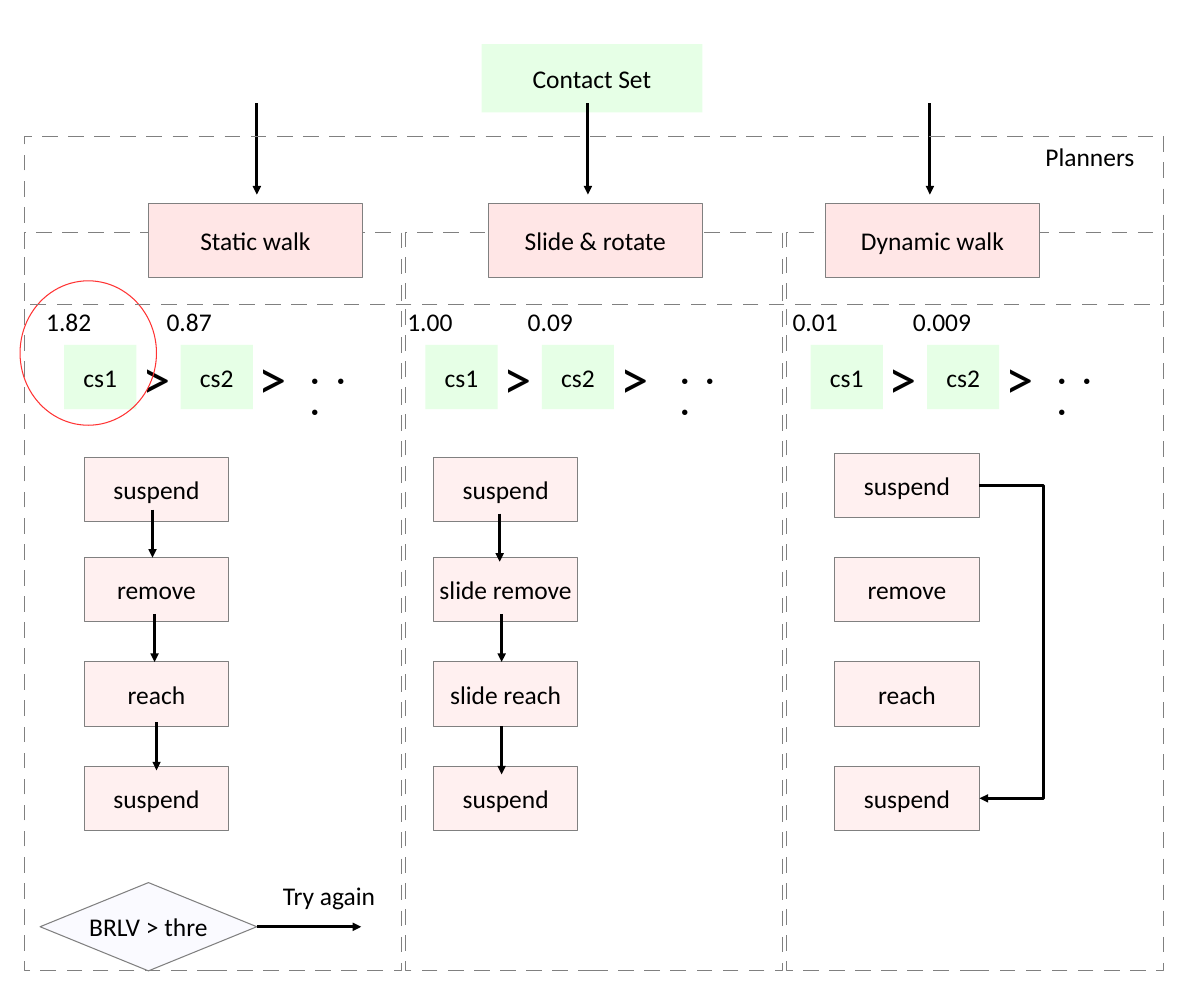
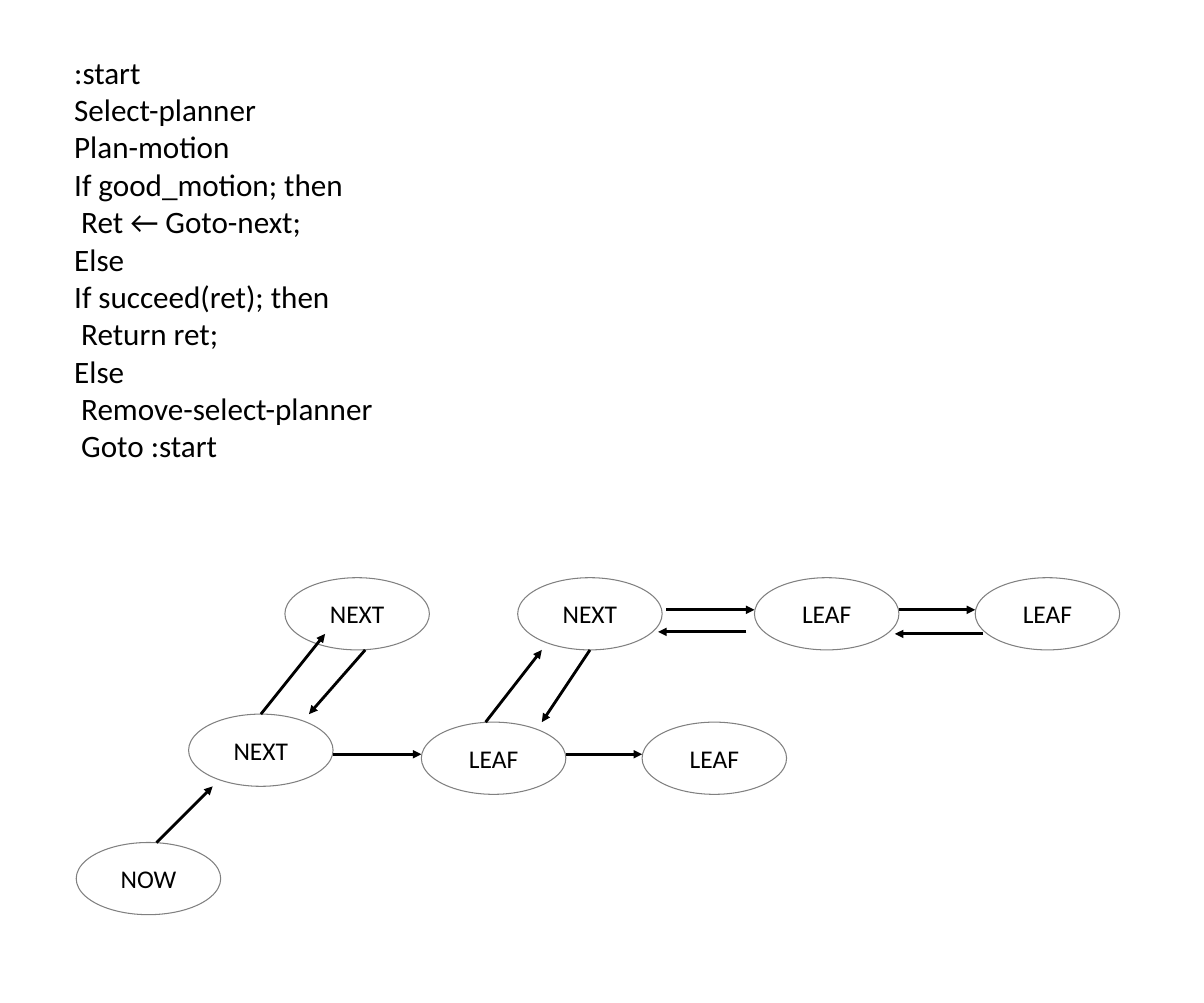
import dataclasses

import lxml.etree
import pptx
import pptx.dml.color
import pptx.enum.shapes
import pptx.enum.text
import pptx.oxml.ns
import pptx.util

Cm = pptx.util.Cm
Pt = pptx.util.Pt
RGBColor = pptx.dml.color.RGBColor
SHAPE = pptx.enum.shapes.MSO_SHAPE
CONNECTOR = pptx.enum.shapes.MSO_CONNECTOR

BLACK = RGBColor(0x00, 0x00, 0x00)
GRAY = RGBColor(0x80, 0x80, 0x80)
RED = RGBColor(0xFF, 0x33, 0x33)
WHITE = RGBColor(0xFF, 0xFF, 0xFF)
GREEN = RGBColor(0xE6, 0xFF, 0xE6)
PINK = RGBColor(0xFF, 0xE6, 0xE6)
PALE_PINK = RGBColor(0xFF, 0xF0, 0xF0)
PALE_BLUE = RGBColor(0xFA, 0xFA, 0xFF)
FONT = "Calibri"
BODY_SIZE = 18
CODE_SIZE = 22
SIGN_SIZE = 40

COLUMN_PITCH = 9.5
COLUMN_SIZE = (9.4, 18.4)
STEP_SIZE = (3.6, 1.6)
NODE_SIZE = (3.6, 1.8)


@dataclasses.dataclass
class Planner:
    """One planner column; offsets are from the column's left edge, in cm."""
    name: str
    name_offset: float
    arrow_offset: float
    scores: tuple
    sets_offset: float
    dots_offset: float
    steps: tuple
    steps_offset: float
    step_tops: tuple
    step_arrows: tuple


PLANNERS = (
    Planner("Static walk", 3.1, 5.8, ("1.82", "0.87"), 1, 5.7,
            ("suspend", "remove", "reach", "suspend"), 1.5, (5.6, 8.1, 10.7, 13.3),
            ((1.7, 6.9), (1.75, 9.5), (1.8, 12.2))),
    Planner("Slide & rotate", 2.07, 4.55, ("1.00", "0.09"), 0.5, 5.9,
            ("suspend", "slide remove", "slide reach", "suspend"), 0.7, (5.6, 8.1, 10.7, 13.3),
            ((1.65, 7), (1.7, 9.5), (1.7, 12.3))),
    Planner("Dynamic walk", 0.97, 3.57, ("0.01", "0.009"), 0.6, 5.7,
            ("suspend", "remove", "reach", "suspend"), 1.2, (5.5, 8.1, 10.7, 13.3), ()),
)

CODE = (":start", "Select-planner", "Plan-motion", "If good_motion; then",
        " Ret ← Goto-next;", "Else", "If succeed(ret); then", " Return ret;",
        "Else", " Remove-select-planner", " Goto :start")

NODES = (("NOW", 0, 6.6), ("NEXT", 2.8, 3.4), ("LEAF", 8.6, 3.6), ("NEXT", 5.2, 0),
         ("NEXT", 11, 0), ("LEAF", 14.1, 3.6), ("LEAF", 16.9, 0), ("LEAF", 22.4, 0))

EDGES = ((2, 6.6, 3.4, 5.2), (4.6, 3.4, 6.2, 1.4), (7.2, 1.8, 5.8, 3.4),
         (6.4, 4.4, 8.6, 4.4), (10.2, 3.6, 11.6, 1.8), (12.8, 1.8, 11.6, 3.6),
         (12.2, 4.4, 14.1, 4.4), (14.7, 0.8, 16.9, 0.8), (20.5, 0.8, 22.4, 0.8),
         (22.6, 1.4, 20.4, 1.4), (16.7, 1.35, 14.5, 1.35))


def style_paragraph(paragraph, text, size):
    """Write black text of one size into a paragraph."""
    paragraph.text = text
    paragraph.font.name = FONT
    paragraph.font.size = Pt(size)
    paragraph.font.color.rgb = BLACK


def add_box(slide, kind, left, top, width, height, text="", fill=None, line=GRAY):
    """Add a preset shape with optional centred text, fill and hairline."""
    shape = slide.shapes.add_shape(kind, Cm(left), Cm(top), Cm(width), Cm(height))
    shape.shadow.inherit = False
    if fill is None:
        shape.fill.background()
    else:
        shape.fill.solid()
        shape.fill.fore_color.rgb = fill
    if line is None:
        shape.line.fill.background()
    else:
        shape.line.color.rgb = line
        shape.line.width = Pt(0)
    if text:
        frame = shape.text_frame
        frame.word_wrap = False
        frame.vertical_anchor = pptx.enum.text.MSO_ANCHOR.MIDDLE
        style_paragraph(frame.paragraphs[0], text, BODY_SIZE)
        frame.paragraphs[0].alignment = pptx.enum.text.PP_ALIGN.CENTER
    return shape


def add_frame(slide, left, top, width, height):
    """Add an unfilled rectangle with a long-dashed outline."""
    shape = add_box(slide, SHAPE.RECTANGLE, left, top, width, height)
    outline = shape.line._get_or_add_ln()
    dashes = lxml.etree.SubElement(outline, pptx.oxml.ns.qn("a:custDash"))
    lxml.etree.SubElement(dashes, pptx.oxml.ns.qn("a:ds"), d="1500000", sp="1000000")


def add_text(slide, left, top, width, height, lines, size=BODY_SIZE):
    """Add a wrapping text box with one paragraph for each line."""
    box = slide.shapes.add_textbox(Cm(left), Cm(top), Cm(width), Cm(height))
    frame = box.text_frame
    frame.word_wrap = True
    frame.auto_size = pptx.enum.text.MSO_AUTO_SIZE.SHAPE_TO_FIT_TEXT
    for index, line in enumerate(lines):
        paragraph = frame.add_paragraph() if index else frame.paragraphs[0]
        style_paragraph(paragraph, line, size)


def add_arrow(slide, start_x, start_y, end_x, end_y, kind=CONNECTOR.STRAIGHT):
    """Add a black hairline connector with a triangle at its end."""
    arrow = slide.shapes.add_connector(kind, Cm(start_x), Cm(start_y), Cm(end_x), Cm(end_y))
    arrow.line.color.rgb = BLACK
    arrow.line.width = Pt(0)
    lxml.etree.SubElement(arrow.line._get_or_add_ln(), pptx.oxml.ns.qn("a:tailEnd"), type="triangle")
    lxml.etree.SubElement(arrow._element.spPr, pptx.oxml.ns.qn("a:effectLst"))
    return arrow


def add_contact_sets(slide, left, top, scores, dots_offset):
    """Add the ranked contact sets with their scores."""
    for index, score in enumerate(scores):
        set_left = left + 2.9 * index
        add_box(slide, SHAPE.RECTANGLE, set_left, top, 1.8, 1.6, f"cs{index + 1}", GREEN, None)
        add_text(slide, set_left + 1.7, top - 0.17, 1.6, 2.18, [">"], SIGN_SIZE)
        add_text(slide, left - 0.7 + 3 * index, top - 1.1, 2.4, 1.12, [score])
    add_text(slide, left + dots_offset, top + 0.4, 1.8, 2.08, ["・・・"])


def add_steps(slide, left, top, planner):
    """Add the motion steps of a planner and the arrows between them."""
    for name, step_top in zip(planner.steps, planner.step_tops):
        add_box(slide, SHAPE.RECTANGLE, left, top + step_top, *STEP_SIZE, name, PALE_PINK)
    for offset, start in planner.step_arrows:
        add_arrow(slide, left + offset, top + start, left + offset, top + start + 1.2)


def add_column(slide, left, top, planner):
    """Add the contents of one planner column."""
    add_box(slide, SHAPE.RECTANGLE, left + planner.name_offset, top - 0.72, 5.33, 1.83,
            planner.name, PINK)
    arrow_x = left + planner.arrow_offset
    add_arrow(slide, arrow_x, top - 3.23, arrow_x, top - 0.95)
    add_contact_sets(slide, left + planner.sets_offset, top + 2.8, planner.scores,
                     planner.dots_offset)
    add_steps(slide, left + planner.steps_offset, top, planner)


def add_bypass(slide, left, top, height, reach):
    """Add an elbow arrow that leaves to the right and returns below."""
    width = 0.01
    arrow = add_arrow(slide, left, top, left + width, top + height, CONNECTOR.ELBOW)
    geometry = arrow._element.spPr.find(pptx.oxml.ns.qn("a:prstGeom"))
    guides = geometry.find(pptx.oxml.ns.qn("a:avLst"))
    if guides is None:
        guides = lxml.etree.SubElement(geometry, pptx.oxml.ns.qn("a:avLst"))
    lxml.etree.SubElement(guides, pptx.oxml.ns.qn("a:gd"), name="adj1",
                          fmla=f"val {round(reach / width * 100000)}")


def add_retry(slide, left, top):
    """Add the threshold decision and its retry arrow."""
    decision = add_box(slide, SHAPE.DIAMOND, left, top, 5.4, 2.2, "BRLV > thre", PALE_BLUE)
    arrow = add_arrow(slide, left + 5.4, top + 1.1, left + 8, top + 1.1)
    arrow.begin_connect(decision, 3)
    add_text(slide, left + 5.8, top - 0.2, 4, 1.12, ["Try again"])


def build_planner_slide(slide, left, top):
    """Build the planner overview from the top left of its columns."""
    column_lefts = [left + COLUMN_PITCH * index for index in range(len(PLANNERS))]
    for column_left in column_lefts:
        add_frame(slide, column_left, top, *COLUMN_SIZE)
    add_box(slide, SHAPE.RECTANGLE, left + 11.4, top - 4.7, 5.5, 1.7, "Contact Set", GREEN, None)
    for column_left, planner in zip(column_lefts, PLANNERS):
        add_column(slide, column_left, top, planner)
    add_box(slide, SHAPE.OVAL, left - 0.1, top + 1.2, 3.4, 3.6, line=RED)
    add_bypass(slide, left + 23.8, top + 6.3, 7.8, 1.6)
    add_retry(slide, left + 0.4, top + 16.2)
    add_frame(slide, left, top - 2.4, 28.4, 4.2)
    add_text(slide, left + 25.2, top - 2.4, 3.4, 1.12, ["Planners"])


def add_search_tree(slide, left, top):
    """Add the tree of nodes and the moves between them."""
    for name, x, y in NODES:
        add_box(slide, SHAPE.OVAL, left + x, top + y, *NODE_SIZE, name, WHITE)
    for start_x, start_y, end_x, end_y in EDGES:
        add_arrow(slide, left + start_x, top + start_y, left + end_x, top + end_y)


def build_search_slide(slide):
    """Build the slide with the algorithm and its search tree."""
    add_text(slide, 1.6, 1.2, 26.2, 11.9, CODE, CODE_SIZE)
    add_search_tree(slide, 1.9, 14.4)


def main():
    """Build and save the presentation."""
    presentation = pptx.Presentation()
    presentation.slide_width = Cm(30)
    presentation.slide_height = Cm(25)
    blank = presentation.slide_layouts[6]
    build_planner_slide(presentation.slides.add_slide(blank), 0.6, 5.8)
    build_search_slide(presentation.slides.add_slide(blank))
    presentation.save("out.pptx")


if __name__ == "__main__":
    main()
